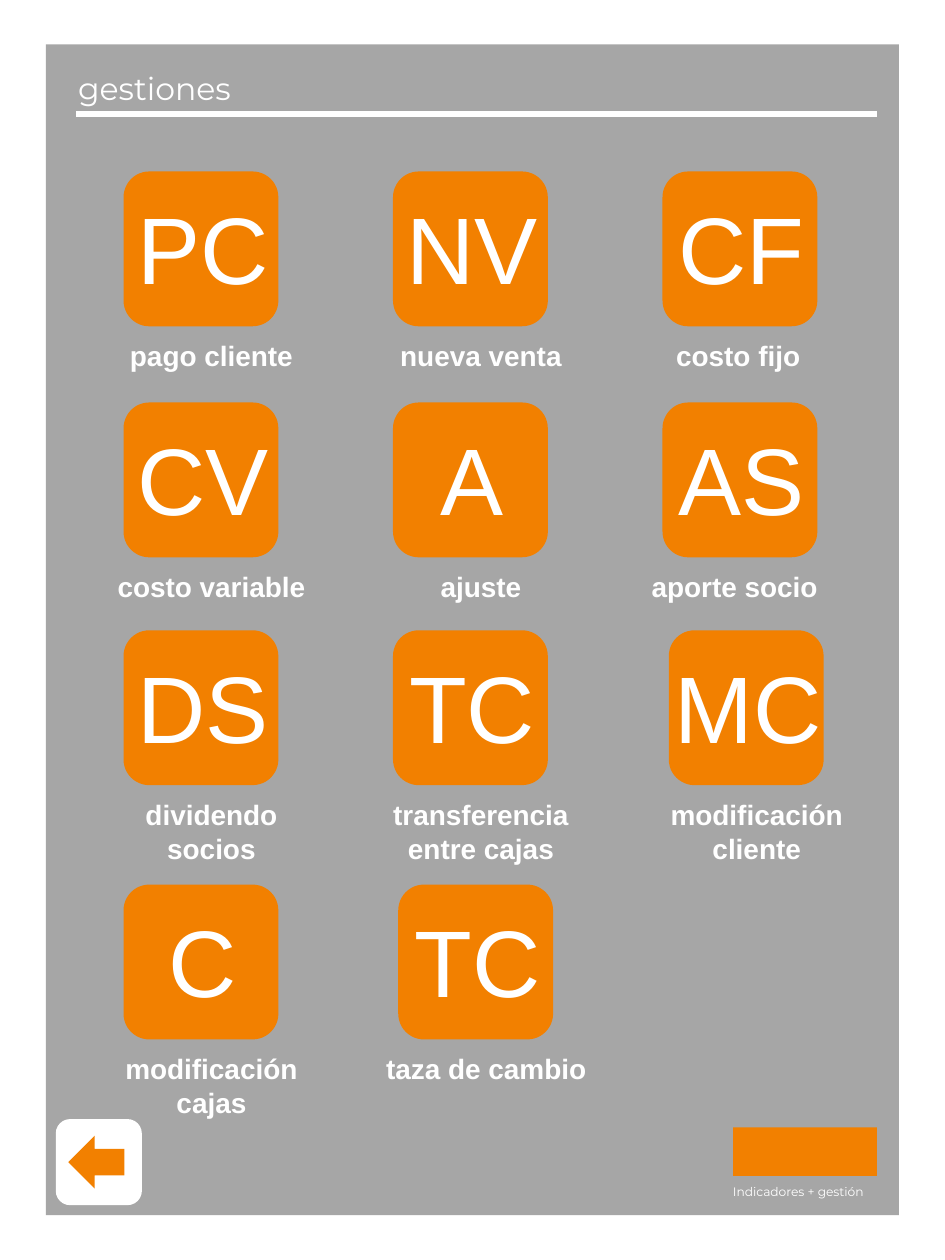
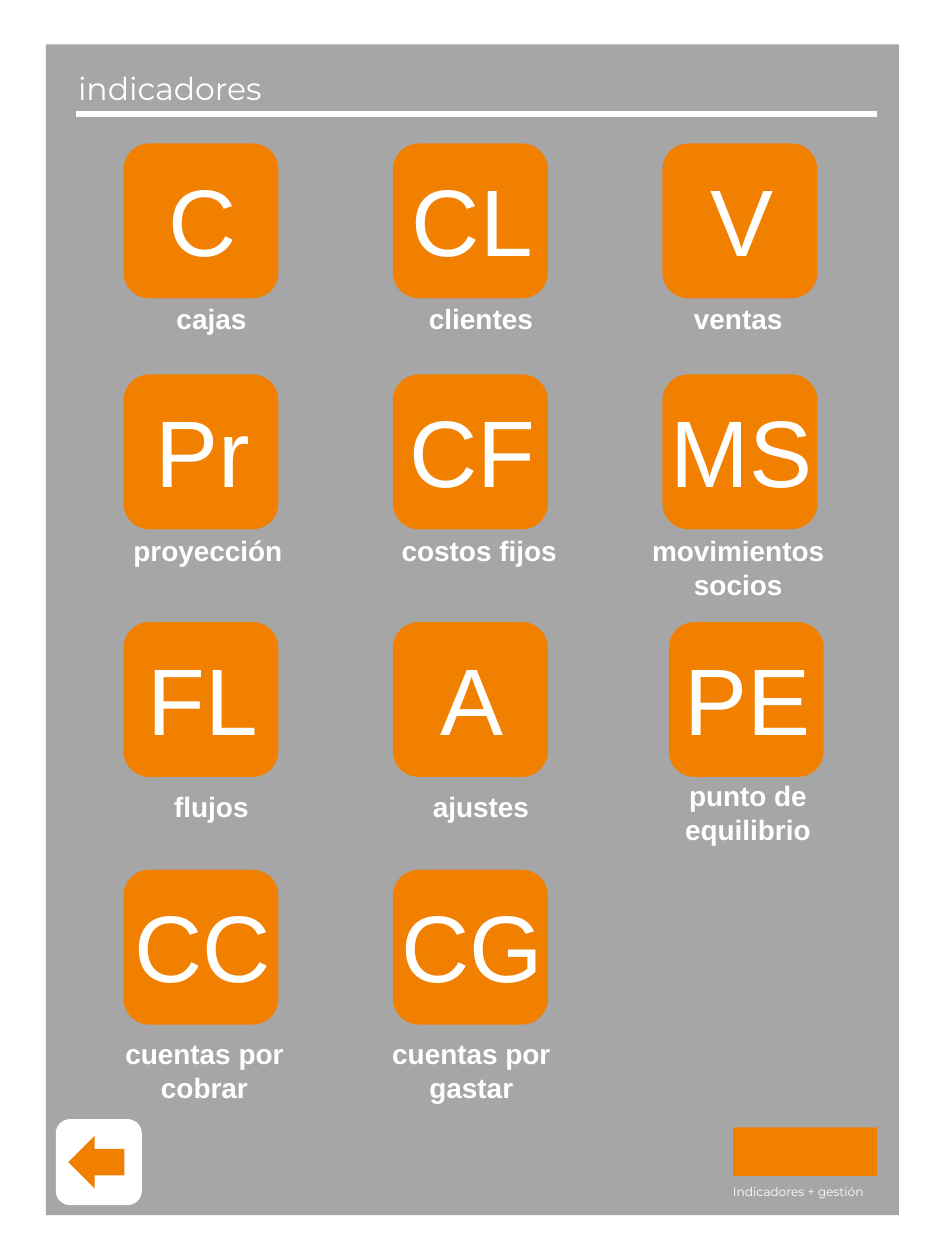
from dataclasses import dataclass

from lxml.etree import SubElement
from pptx import Presentation
from pptx.dml.color import RGBColor
from pptx.enum.shapes import MSO_CONNECTOR as Connector, MSO_SHAPE as Preset
from pptx.enum.text import MSO_AUTO_SIZE as AutoSize, PP_ALIGN as Align
from pptx.oxml.ns import qn
from pptx.util import Pt

WHITE, GREY, ORANGE = "FFFFFF", "A6A6A6", "F28000"
TILE = 88.5
FIRST_COLUMN, COLUMN_STEP = 70.6, 154
LABEL_WIDTH = 144


@dataclass(frozen=True)
class Style:
    """Font settings of a text."""
    font: str
    size: float
    bold: bool = False
    align: Align = Align.LEFT


@dataclass(frozen=True)
class Entry:
    """A menu tile with its code, its label and small offsets."""
    code: str
    label: str
    lines: int = 1
    label_shift: float = 6
    tile_shift: float = 0
    label_rise: float = 0
    code_width: float = 90


@dataclass(frozen=True)
class Row:
    """A row of tiles and the drop from tile top to label top."""
    top: float
    label_drop: float
    entries: tuple[Entry, ...]


@dataclass(frozen=True)
class Menu:
    """A slide with its title and rows."""
    title: str
    rows: tuple[Row, ...]


TITLE = Style("Montserrat", 18)
TAGLINE = Style("Montserrat", 7)
CODE = Style("Arial", 54, align=Align.CENTER)
LABEL = Style("Arial", 16, bold=True, align=Align.CENTER)

MENUS = (
    Menu("gestiones", (
        Row(98, 92, (
            Entry("PC", "pago cliente"),
            Entry("NV", "nueva venta"),
            Entry("CF", "costo fijo", label_shift=-1))),
        Row(230, 92, (
            Entry("CV", "costo variable"),
            Entry("A", "ajuste"),
            Entry("AS", "aporte socio", label_shift=-3))),
        Row(360.2, 92, (
            Entry("DS", "dividendo socios", 2),
            Entry("TC", "transferencia entre cajas", 2),
            Entry("MC", "modificación cliente", 2, tile_shift=3.6, code_width=105))),
        Row(505.5, 92, (
            Entry("C", "modificación cajas", 2),
            Entry("TC", "taza de cambio", tile_shift=3))),
    )),
    Menu("indicadores", (
        Row(82, 87, (
            Entry("C", "cajas"),
            Entry("CL", "clientes"),
            Entry("V", "ventas", label_shift=-1))),
        Row(214, 87.5, (
            Entry("Pr", "proyección", label_shift=4),
            Entry("CF", "costos fijos", label_shift=5),
            Entry("MS", "movimientos socios", 2, label_shift=-1, code_width=100))),
        Row(355.5, 92, (
            Entry("FL", "flujos"),
            Entry("A", "ajustes"),
            Entry("PE", "punto de equilibrio", 2, label_shift=1, tile_shift=3.6,
                  label_rise=6, code_width=105))),
        Row(497, 92, (
            Entry("CC", "cuentas por cobrar", 2, label_shift=2, code_width=114),
            Entry("CG", "cuentas por gastar", 2, label_shift=0.5, code_width=102))),
    )),
)


def rgb(value: str) -> RGBColor:
    """Turn a hex string into a colour."""
    return RGBColor.from_string(value)


def add_block(shapes, preset: Preset, left: float, top: float,
              width: float, height: float, color: str) -> None:
    """Draw a flat filled shape without outline."""
    block = shapes.add_shape(preset, Pt(left), Pt(top), Pt(width), Pt(height))
    block.shadow.inherit = False
    block.fill.solid()
    block.fill.fore_color.rgb = rgb(color)
    block.line.fill.background()


def add_text(shapes, text: str, style: Style, left: float, top: float,
             width: float, height: float) -> None:
    """Write one white paragraph in a wrapping box."""
    frame = shapes.add_textbox(Pt(left), Pt(top), Pt(width), Pt(height)).text_frame
    frame.word_wrap = True
    frame.auto_size = AutoSize.SHAPE_TO_FIT_TEXT
    paragraph = frame.paragraphs[0]
    paragraph.alignment = style.align
    run = paragraph.add_run()
    run.text = text
    run.font.name = style.font
    run.font.size = Pt(style.size)
    run.font.bold = style.bold
    run.font.color.rgb = rgb(WHITE)


def add_backdrop(shapes) -> None:
    """Draw the grey page with the emblem and tagline."""
    backdrop = shapes.add_group_shape().shapes
    add_block(backdrop, Preset.RECTANGLE, 26.2, 25.3, 487.5, 669, GREY)
    add_block(backdrop, Preset.RECTANGLE, 419, 644.2, 82.2, 27.8, ORANGE)
    add_text(backdrop, "Indicadores + gestión", TAGLINE, 411.8, 673, 108, 15.8)


def add_header(shapes, title: str) -> None:
    """Write the slide title above its rule."""
    add_text(shapes, title, TITLE, 37.5, 36, 422, 29)
    rule = shapes.add_connector(Connector.STRAIGHT, Pt(43.4), Pt(65.2), Pt(501.2), Pt(65.2))
    rule.line.color.rgb = rgb(WHITE)
    rule.line.width = Pt(3)
    SubElement(rule._element.spPr, qn("a:effectLst"))


def add_back_button(shapes) -> None:
    """Draw the white button with the back arrow."""
    add_block(shapes, Preset.ROUNDED_RECTANGLE, 31.9, 639.5, 49.2, 49.2, WHITE)
    add_block(shapes, Preset.LEFT_ARROW, 39, 649, 32, 30.2, ORANGE)


def add_entry(shapes, row: Row, column: int, entry: Entry) -> None:
    """Draw a tile with its code and the label below."""
    left = FIRST_COLUMN + column * COLUMN_STEP + entry.tile_shift
    center = left + TILE / 2
    add_block(shapes, Preset.ROUNDED_RECTANGLE, left, row.top, TILE, TILE, ORANGE)
    add_text(shapes, entry.code, CODE, center - entry.code_width / 2 + 1,
             row.top + 7, entry.code_width, 72.7)
    add_text(shapes, entry.label, LABEL, center - LABEL_WIDTH / 2 + entry.label_shift,
             row.top + row.label_drop - entry.label_rise, LABEL_WIDTH,
             7.2 + 19.4 * entry.lines)


def add_menu(deck, menu: Menu) -> None:
    """Build one menu slide."""
    shapes = deck.slides.add_slide(deck.slide_layouts[6]).shapes
    add_backdrop(shapes)
    add_header(shapes, menu.title)
    for row in menu.rows:
        for column, entry in enumerate(row.entries):
            add_entry(shapes, row, column, entry)
    add_back_button(shapes)


def main() -> None:
    """Build and save the deck."""
    deck = Presentation()
    deck.slide_width, deck.slide_height = Pt(540), Pt(720)
    for menu in MENUS:
        add_menu(deck, menu)
    deck.save("out.pptx")


if __name__ == "__main__":
    main()
